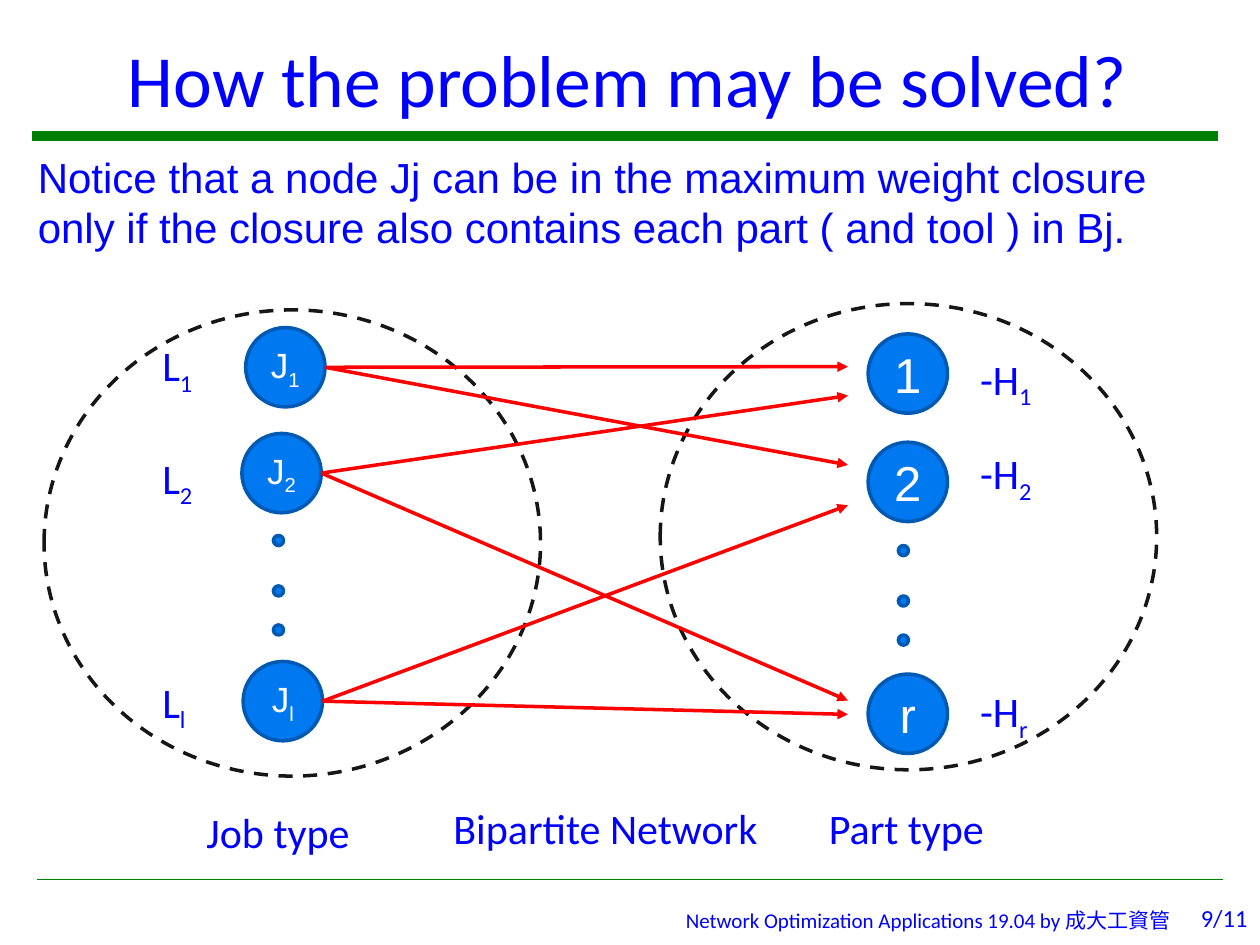
from dataclasses import dataclass

from lxml.etree import SubElement
from pptx import Presentation
from pptx.dml.color import RGBColor
from pptx.enum.dml import MSO_LINE
from pptx.enum.shapes import MSO_CONNECTOR, MSO_SHAPE
from pptx.enum.text import MSO_ANCHOR, MSO_AUTO_SIZE, PP_ALIGN
from pptx.oxml.ns import qn
from pptx.util import Inches, Pt

BLUE, GREEN, RED, WHITE = "0000FF", "008000", "FF0000", "FFFFFF"
NODE_FILL, NODE_LINE, SET_LINE = "0078F0", "0059B2", "161616"
NODE_SIZE, DOT_SIZE = 0.63, 0.08
DOT_STEPS = (0, 0.4, 0.71)
SET_WIDTH, SET_HEIGHT = 3.94, 3.7


@dataclass
class NodeSet:
    """One side of the network; positions are offsets from its ellipse."""
    nodes: list          # (text, subscript, left, top)
    node_size: int       # points
    labels: list         # (text, subscript, top)
    label_box: tuple     # left, width, height
    dots: tuple          # left, top
    caption: tuple       # text, left, top, width


JOBS = NodeSet(
    nodes=[("J", "1", 1.6, 0.14), ("J", "2", 1.57, 0.98), ("J", "l", 1.58, 2.79)],
    node_size=20,
    labels=[("L", "1", 0.19), ("L", "2", 1.08), ("L", "l", 2.86)],
    label_box=(0.84, 0.66, 0.55),
    dots=(1.82, 1.79),
    caption=("Job type", 1.19, 3.89, 1.48),
)
PARTS = NodeSet(
    nodes=[("1", "", 1.65, 0.24), ("2", "", 1.65, 1.1), ("r", "", 1.65, 2.94)],
    node_size=28,
    labels=[("-H", "1", 0.35), ("-H", "2", 1.1), ("-H", "r", 2.99)],
    label_box=(2.44, 0.81, 0.54),
    dots=(1.89, 1.92),
    caption=("Part type", 1.24, 3.91, 1.52),
)
# Heights at which the two arrows of each job arrive at the parts
ARROW_ENDS = [(2.91, 3.69), (3.14, 5.56), (4.01, 5.67)]
ARROW_END_LEFT = 6.73


def rgb(value):
    return RGBColor.from_string(value)


def add_run(paragraph, text, size, color=BLUE, font="Calibri", subscript=False):
    run = paragraph.add_run()
    run.text = text
    run.font.size = Pt(size)
    run.font.name = font
    run.font.color.rgb = rgb(color)
    if subscript:
        run.font._element.set("baseline", "-25000")
    return run


def add_symbol(paragraph, text, subscript, size, **style):
    add_run(paragraph, text, size, **style)
    if subscript:
        add_run(paragraph, subscript, size, subscript=True, **style)


def add_text_box(slide, left, top, width, height, align=PP_ALIGN.LEFT,
                 anchor=MSO_ANCHOR.TOP):
    """Add an empty text box and return its first paragraph."""
    box = slide.shapes.add_textbox(Inches(left), Inches(top), Inches(width), Inches(height))
    box.text_frame.word_wrap = True
    box.text_frame.vertical_anchor = anchor
    paragraph = box.text_frame.paragraphs[0]
    paragraph.alignment = align
    return paragraph


def add_line(slide, start, end, color, width, arrow=False):
    line = slide.shapes.add_connector(
        MSO_CONNECTOR.STRAIGHT, *(Inches(value) for value in (*start, *end)))
    line.line.color.rgb = rgb(color)
    line.line.width = Pt(width)
    if arrow:
        SubElement(line.line._get_or_add_ln(), qn("a:tailEnd"), type="triangle")
    SubElement(line._element.spPr, qn("a:effectLst"))


def add_ellipse(slide, left, top, width, height, line_color, fill=None):
    ellipse = slide.shapes.add_shape(
        MSO_SHAPE.OVAL, Inches(left), Inches(top), Inches(width), Inches(height))
    ellipse.shadow.inherit = False
    ellipse.line.color.rgb = rgb(line_color)
    ellipse.line.width = Pt(2)
    if fill:
        ellipse.fill.solid()
        ellipse.fill.fore_color.rgb = rgb(fill)
    else:
        ellipse.fill.background()
    return ellipse


def add_node(slide, left, top, text, subscript, size):
    node = add_ellipse(slide, left, top, NODE_SIZE, NODE_SIZE, NODE_LINE, NODE_FILL)
    frame = node.text_frame
    frame.word_wrap = False
    frame.vertical_anchor = MSO_ANCHOR.MIDDLE
    frame.margin_left = frame.margin_right = frame.margin_top = frame.margin_bottom = 0
    paragraph = frame.paragraphs[0]
    paragraph.alignment = PP_ALIGN.CENTER
    add_symbol(paragraph, text, subscript, size, color=WHITE, font="Arial")


def add_node_set(slide, left, top, node_set):
    outline = add_ellipse(slide, left, top, SET_WIDTH, SET_HEIGHT, SET_LINE)
    outline.line.dash_style = MSO_LINE.DASH
    for text, subscript, x, y in node_set.nodes:
        add_node(slide, left + x, top + y, text, subscript, node_set.node_size)
    label_left, label_width, label_height = node_set.label_box
    for text, subscript, y in node_set.labels:
        paragraph = add_text_box(slide, left + label_left, top + y, label_width,
                                 label_height, anchor=MSO_ANCHOR.MIDDLE)
        add_symbol(paragraph, text, subscript, 24)
    dot_left, dot_top = node_set.dots
    for step in DOT_STEPS:
        add_ellipse(slide, left + dot_left, top + dot_top + step,
                    DOT_SIZE, DOT_SIZE, NODE_LINE, NODE_FILL)
    text, x, y, width = node_set.caption
    add_run(add_text_box(slide, left + x, top + y, width, 0.5), text, 24)


def add_arrows(slide, left, top):
    """Draw two arrows from each job of the set placed at left, top."""
    for (_, _, x, y), ends in zip(JOBS.nodes, ARROW_ENDS):
        start = (left + x + NODE_SIZE, top + y + NODE_SIZE / 2)
        for end in ends:
            add_line(slide, start, (ARROW_END_LEFT, end), RED, 2, arrow=True)


def fill_placeholder(placeholder, left, top, width, height, anchor):
    """Place a placeholder and return its first paragraph."""
    placeholder.left, placeholder.top = Inches(left), Inches(top)
    placeholder.width, placeholder.height = Inches(width), Inches(height)
    frame = placeholder.text_frame
    frame.word_wrap = True
    frame.auto_size = MSO_AUTO_SIZE.NONE
    frame.vertical_anchor = anchor
    return frame.paragraphs[0]


def add_heading(slide):
    add_line(slide, (0.25, 1.08), (9.67, 1.08), GREEN, 5.25)
    title = fill_placeholder(slide.shapes.title, 0.08, 0.09, 9.8, 1.06, MSO_ANCHOR.MIDDLE)
    title.alignment = PP_ALIGN.CENTER
    add_run(title, "How the problem may be solved?", 42)

    body = fill_placeholder(slide.placeholders[1], 0.2, 1.15, 9.6, 0.79, MSO_ANCHOR.TOP)
    properties = body._p.get_or_add_pPr()
    properties.set("marL", "0")
    properties.set("indent", "0")
    SubElement(properties, qn("a:buNone"))
    body.space_before = Pt(0)
    add_run(body, "Notice that a node Jj can be in the maximum weight closure only if "
                  "the closure also contains each part ( and tool ) in Bj.", 24, font="Arial")


def add_footer(slide):
    add_line(slide, (0.29, 6.98), (9.71, 6.98), GREEN, 1)
    credit = add_text_box(slide, 4.21, 7.15, 5.18, 0.3, PP_ALIGN.RIGHT)
    add_run(credit, "Network Optimization Applications 19.04 by ", 12)
    chinese = add_run(credit, "成大工資管", 12, font="Noto Sans CJK SC")
    SubElement(chinese.font._element, qn("a:ea"), typeface="Noto Sans CJK SC")
    add_run(add_text_box(slide, 9.09, 7.12, 0.91, 0.33, PP_ALIGN.RIGHT), "9/11", 14)


def main():
    presentation = Presentation()
    presentation.slide_width, presentation.slide_height = Inches(10), Inches(7.5)
    slide = presentation.slides.add_slide(presentation.slide_layouts[1])
    add_heading(slide)
    add_node_set(slide, 0.35, 2.46, JOBS)
    add_node_set(slide, 5.24, 2.41, PARTS)
    add_arrows(slide, 0.35, 2.46)
    add_run(add_text_box(slide, 3.5, 6.32, 2.89, 0.5), "Bipartite Network", 24)
    add_footer(slide)
    presentation.save("out.pptx")


if __name__ == "__main__":
    main()
